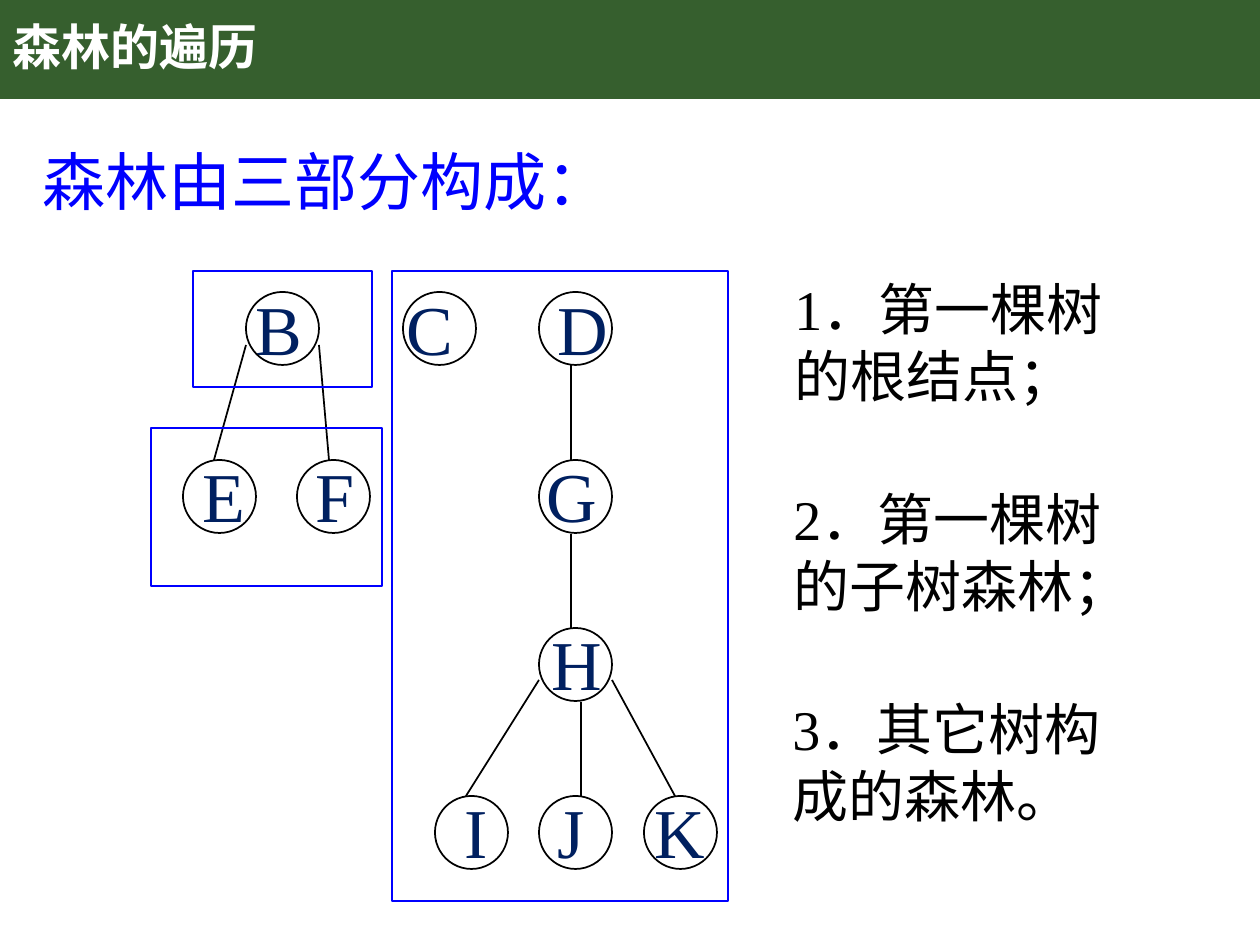
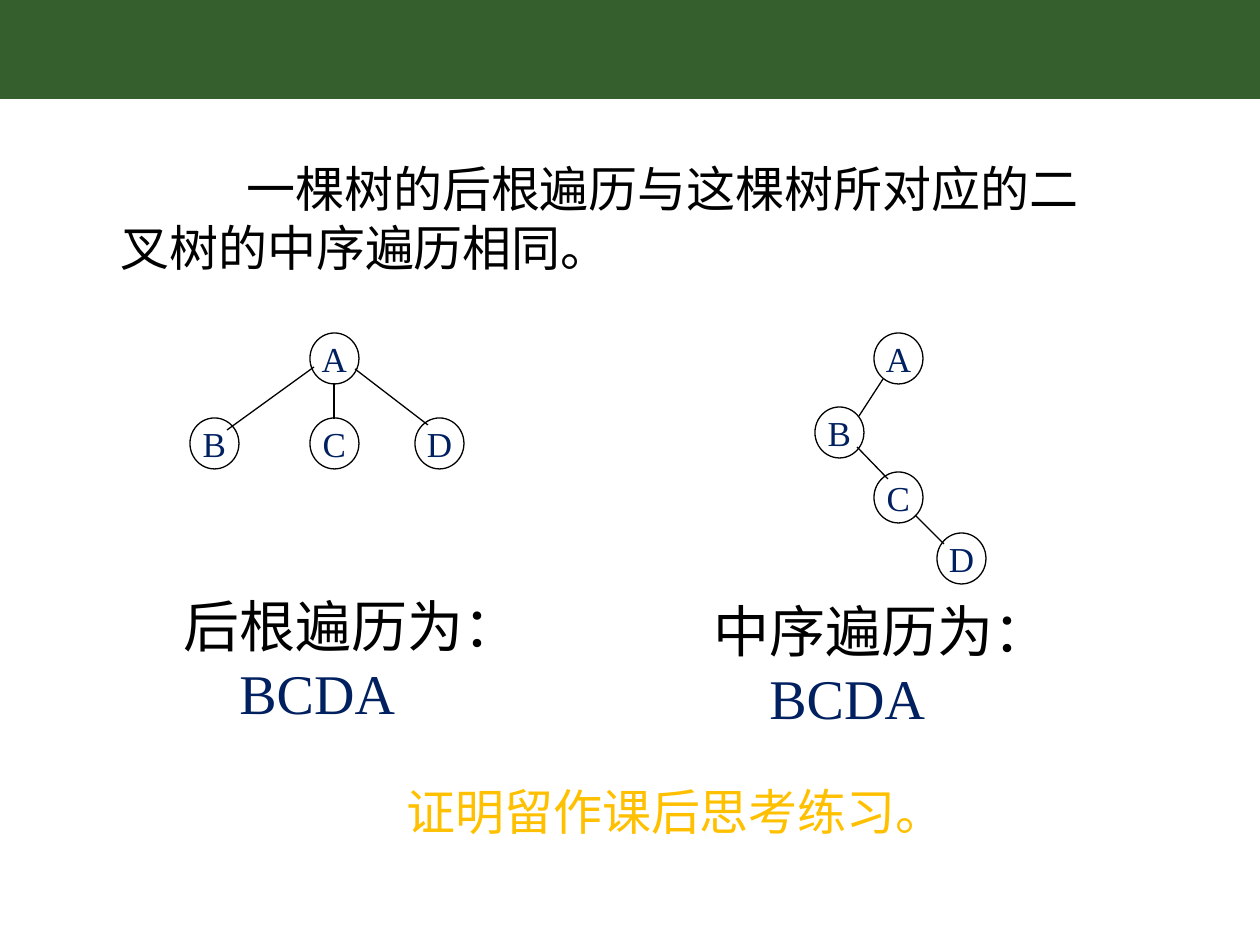
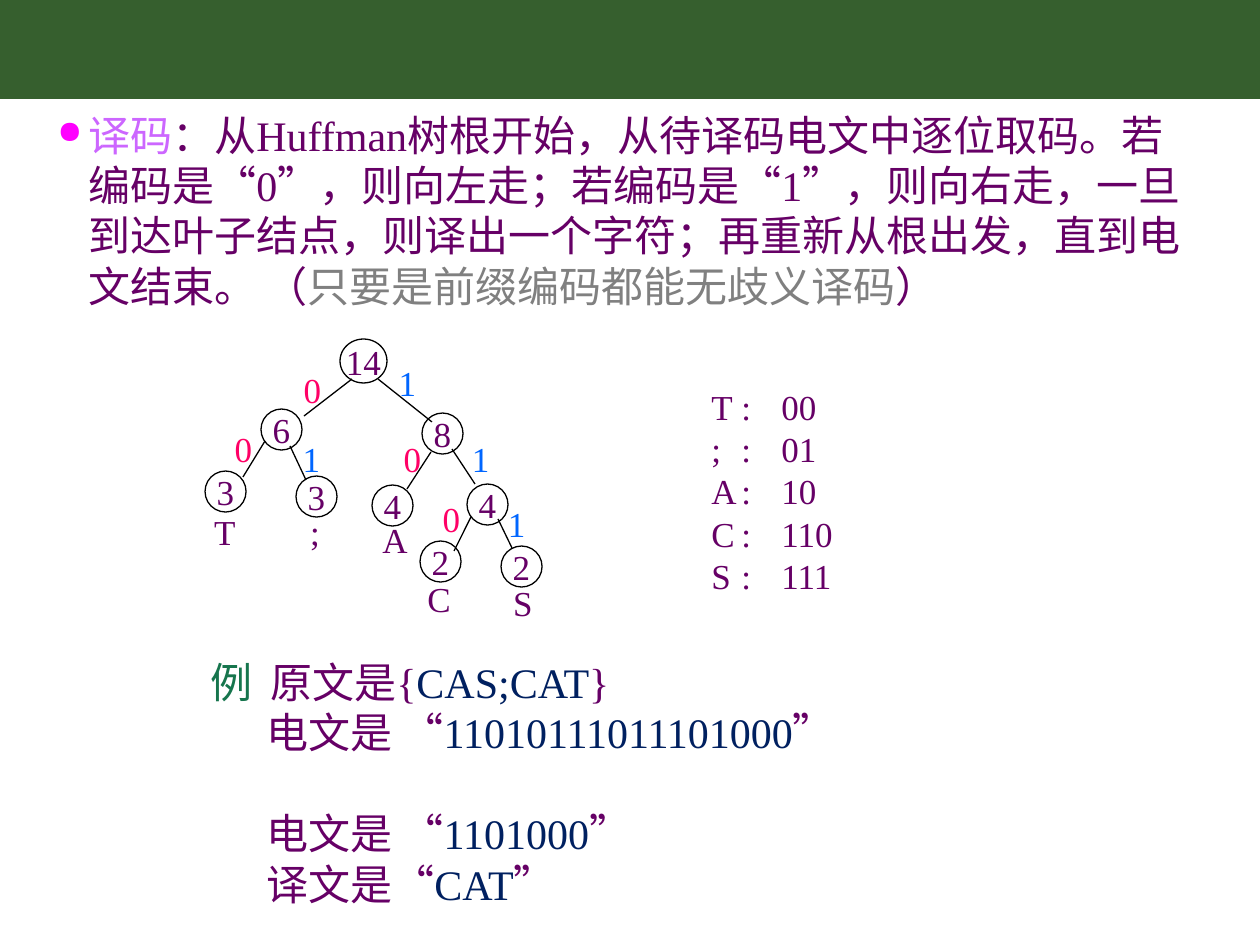
"""Build three slides on forest traversal and Huffman decoding."""
from dataclasses import dataclass

from lxml import etree
from pptx import Presentation
from pptx import util as u
from pptx.dml.color import RGBColor
from pptx.enum import shapes, text
from pptx.oxml.ns import qn

EMU_PER_PX = 914400 / 126


@dataclass(frozen=True)
class Theme:
    """Colours, font and type sizes shared by the slides."""
    font: str = "Times New Roman"
    band: str = "365F2E"
    white: str = "FFFFFF"
    black: str = "000000"
    navy: str = "002060"
    blue: str = "0000FF"
    amber: str = "FFC000"
    plum: str = "660066"
    violet: str = "CC66FF"
    magenta: str = "FF00FF"
    grey: str = "808080"
    green: str = "16754D"
    zero: str = "FF0066"
    one: str = "0066FF"
    letter: int = 40
    heading: int = 36
    large: int = 32
    body: int = 28
    note: int = 24
    small: int = 20


@dataclass
class Para:
    """A paragraph: its runs, indents and tabs in px, and space before in points."""
    runs: object
    left: int = 0
    first: int = 0
    before: int = 0
    tabs: tuple = ()
    bullet: str = ""


THEME = Theme()


def px(length):
    """Turn px into EMU."""
    return u.Emu(round(length * EMU_PER_PX))


def rgb(colour):
    """Turn RRGGBB into a colour object."""
    return RGBColor.from_string(colour)


def set_layout(paragraph, para):
    """Give a paragraph its indents, bullet, tab stops and spacing."""
    props = paragraph._p.get_or_add_pPr()
    if para.left or para.first:
        props.set("marL", str(px(para.left)))
        props.set("indent", str(px(para.first)))
    if para.bullet:
        colour = etree.SubElement(props, qn("a:buClr"))
        etree.SubElement(colour, qn("a:srgbClr"), val=THEME.magenta)
        etree.SubElement(props, qn("a:buSzPct"), val="75000")
        etree.SubElement(props, qn("a:buChar"), char=para.bullet)
    if para.tabs:
        stops = etree.SubElement(props, qn("a:tabLst"))
        for stop in para.tabs:
            etree.SubElement(stops, qn("a:tab"), pos=str(px(stop)), algn="l")
    if para.before:
        paragraph.space_before = u.Pt(para.before)


def write(frame, paras, size, colour=THEME.black, bold=False, align=None,
          anchor=text.MSO_ANCHOR.TOP, wrap=True, spacing=None, top=None):
    """Fill a text frame with paragraphs in one format."""
    frame.word_wrap = wrap
    frame.vertical_anchor = anchor
    if top is not None:
        frame.margin_top = px(top)
    for index, para in enumerate([paras] if isinstance(paras, str) else paras):
        para = Para(para) if isinstance(para, str) else para
        paragraph = frame.paragraphs[0] if index == 0 else frame.add_paragraph()
        set_layout(paragraph, para)
        paragraph.alignment = align
        paragraph.line_spacing = spacing
        runs = [(para.runs, colour)] if isinstance(para.runs, str) else para.runs
        for words, run_colour in runs:
            run = paragraph.add_run()
            run.text = words
            run.font.name = THEME.font
            run.font.size = u.Pt(size)
            run.font.bold = bold
            run.font.color.rgb = rgb(run_colour)


def add_text(slide, box, paras, size, **fmt):
    """Add a text box."""
    write(slide.shapes.add_textbox(*map(px, box)).text_frame, paras, size, **fmt)


def add_label(slide, box, words, colour):
    """Add a small centred label."""
    add_text(slide, box, words, THEME.small, colour=colour, wrap=False,
             align=text.PP_ALIGN.CENTER, anchor=text.MSO_ANCHOR.MIDDLE)


def add_outline(slide, kind, box, colour=THEME.black, width=1):
    """Add an unfilled outline."""
    outline = slide.shapes.add_shape(kind, *map(px, box))
    outline.shadow.inherit = False
    outline.fill.background()
    outline.line.color.rgb = rgb(colour)
    outline.line.width = u.Pt(width)
    return outline


def add_node(slide, box, words, colour):
    """Add a round tree node with its text."""
    node = add_outline(slide, shapes.MSO_SHAPE.OVAL, box, width=0.75)
    write(node.text_frame, words, THEME.small, colour=colour, wrap=False,
          align=text.PP_ALIGN.CENTER, anchor=text.MSO_ANCHOR.MIDDLE)


def add_edges(slide, edges, width=0.75):
    """Join tree nodes with straight lines."""
    for ends in edges:
        edge = slide.shapes.add_connector(shapes.MSO_CONNECTOR.STRAIGHT, *map(px, ends))
        edge.line.color.rgb = rgb(THEME.black)
        edge.line.width = u.Pt(width)
        etree.SubElement(edge._element.spPr, qn("a:effectLst"))


def add_slide(deck, title=""):
    """Add a blank slide with the green band and its title."""
    slide = deck.slides.add_slide(deck.slide_layouts[6])
    band = slide.shapes.add_shape(shapes.MSO_SHAPE.RECTANGLE, *map(px, (0, 0, 1260, 99)))
    band.shadow.inherit = False
    band.fill.solid()
    band.fill.fore_color.rgb = rgb(THEME.band)
    band.line.fill.background()
    if title:
        add_text(slide, (0, 0, 1086, 99), title, THEME.body, colour=THEME.white,
                 bold=True, anchor=text.MSO_ANCHOR.MIDDLE, spacing=0.9)
    return slide


def build_forest(deck):
    """Show the three parts of a forest."""
    slide = add_slide(deck, "森林的遍历")
    letters = [
        Para("\tB\tC\tD", tabs=(53, 204, 355)),
        Para("E\tF\tG", tabs=(113, 344), before=48),
        Para("\tH", tabs=(349,), before=48),
        Para("\tI\tJ\tK", tabs=(262, 355, 452), before=48),
    ]
    add_text(slide, (190, 111, 534, 776), letters, THEME.letter, colour=THEME.navy, top=174)
    levels = [(246, 403, 539), (183, 297, 539), (539,), (435, 539, 644)]
    for depth, lefts in enumerate(levels):
        for left in lefts:
            add_outline(slide, shapes.MSO_SHAPE.OVAL, (left, 292 + 168 * depth, 73, 73))
    add_edges(slide, [
        (246, 345, 214, 460), (319, 345, 329, 460), (571, 365, 571, 460),
        (571, 534, 571, 629), (581, 702, 581, 796), (539, 680, 466, 796),
        (612, 680, 675, 796)], width=1)
    for part in [(193, 271, 179, 116), (151, 428, 231, 158), (392, 271, 336, 630)]:
        add_outline(slide, shapes.MSO_SHAPE.RECTANGLE, part, THEME.blue)
    parts = ["1．第一棵树的根结点；", "2．第一棵树的子树森林；", "3．其它树构成的森林。"]
    for index, (part, width) in enumerate(zip(parts, (349, 379, 357))):
        add_text(slide, (782 - index, 268 + 210 * index, width, 149), part, THEME.large)
    add_text(slide, (30, 136, 599, 89), "森林由三部分构成：", THEME.heading,
             colour=THEME.blue, wrap=False)


def build_equivalence(deck):
    """Compare postorder on a tree with inorder on its binary tree."""
    slide = add_slide(deck)
    tree = [(310, 333), (190, 418), (310, 418), (415, 418)]
    binary_tree = [(874, 333), (815, 407), (874, 472), (937, 533)]
    for places in (tree, binary_tree):
        for letter, place in zip("ABCD", places):
            add_node(slide, (*place, 49, 51), letter, THEME.navy)
    add_edges(slide, [
        (334, 383, 334, 419), (314, 367, 227, 430), (355, 369, 428, 425),
        (883, 379, 859, 416), (857, 447, 888, 479), (915, 515, 944, 544)])
    for left, top, order in [(171, 585, "后根遍历为："), (701, 590, "中序遍历为：")]:
        result = Para([("BCDA", THEME.navy)], left=56)
        add_text(slide, (left, top, 374, 149), [order, result], THEME.large)
    claim = Para("一棵树的后根遍历与这棵树所对应的二叉树的中序遍历相同。", first=126)
    add_text(slide, (108, 152, 988, 131), [claim], THEME.body)
    add_text(slide, (394, 775, 702, 72), "证明留作课后思考练习。", THEME.body,
             colour=THEME.amber)


def build_decoding(deck):
    """Explain Huffman decoding with a code tree and an example."""
    slide = add_slide(deck)
    rule = Para([
        ("译码", THEME.violet),
        ("：从Huffman树根开始，从待译码电文中逐位取码。若编码是“0”，则向左走；"
         "若编码是“1”，则向右走，一旦到达叶子结点，则译出一个字符；"
         "再重新从根出发，直到电文结束。 （", THEME.plum),
        ("只要是前缀编码都能无歧义译码", THEME.grey),
        ("）", THEME.plum)], left=157, first=-31, bullet="●")
    add_text(slide, (-81, 103, 1290, 213), [rule], THEME.note)

    def example(lead, value, end="”", **layout):
        """Return an example line with its value in navy."""
        return Para([*lead, (value, THEME.navy), (end, THEME.plum)], **layout)

    lines = [
        example([("例", THEME.green), ("\t原文是{", THEME.plum)], "CAS;CAT", "}", tabs=(60,)),
        example([("电文是 “", THEME.plum)], "11010111011101000", left=56),
        example([("电文是 “", THEME.plum)], "1101000", left=56, before=29),
        example([("译文是“", THEME.plum)], "CAT", left=56),
    ]
    add_text(slide, (198, 649, 956, 267), lines, THEME.note, anchor=text.MSO_ANCHOR.MIDDLE)

    add_node(slide, (340, 339, 47, 44), "14", THEME.plum)
    weights = [("6", 261, 409), ("8", 422, 413), ("3", 205, 471), ("3", 296, 476),
               ("4", 372, 485), ("4", 467, 484), ("2", 420, 541), ("2", 501, 546)]
    for weight, left, top in weights:
        add_node(slide, (left, top, 41, 41), weight, THEME.plum)
    add_edges(slide, [
        (352, 379, 304, 416), (378, 379, 432, 422), (265, 441, 243, 477),
        (290, 446, 306, 480), (431, 452, 407, 489), (452, 449, 475, 484),
        (471, 517, 454, 551), (498, 519, 512, 548)])
    leaves = [("T", 201, 504), (";", 291, 504), ("A", 370, 512), ("C", 415, 571), ("S", 499, 575)]
    for leaf, left, top in leaves:
        add_label(slide, (left, top, 48, 55), leaf, THEME.plum)
    bits = {
        ("0", THEME.zero): [(291, 362), (222, 421), (391, 431), (430, 491)],
        ("1", THEME.one): [(386, 355), (290, 431), (459, 431), (495, 496)],
    }
    for (bit, colour), places in bits.items():
        for place in places:
            add_label(slide, (*place, 43, 54), bit, colour)
    codes = {"T": "00", ";": "01", "A": "10", "C": "110", "S": "111"}
    table = [Para(f"{leaf}\t:\t{code}", tabs=(30, 70)) for leaf, code in codes.items()]
    add_text(slide, (699, 379, 170, 224), table, THEME.small, colour=THEME.plum,
             anchor=text.MSO_ANCHOR.MIDDLE)


def main():
    """Build and save the deck."""
    deck = Presentation()
    deck.slide_width, deck.slide_height = px(1260), px(945)
    build_forest(deck)
    build_equivalence(deck)
    build_decoding(deck)
    deck.save("out.pptx")


if __name__ == "__main__":
    main()
